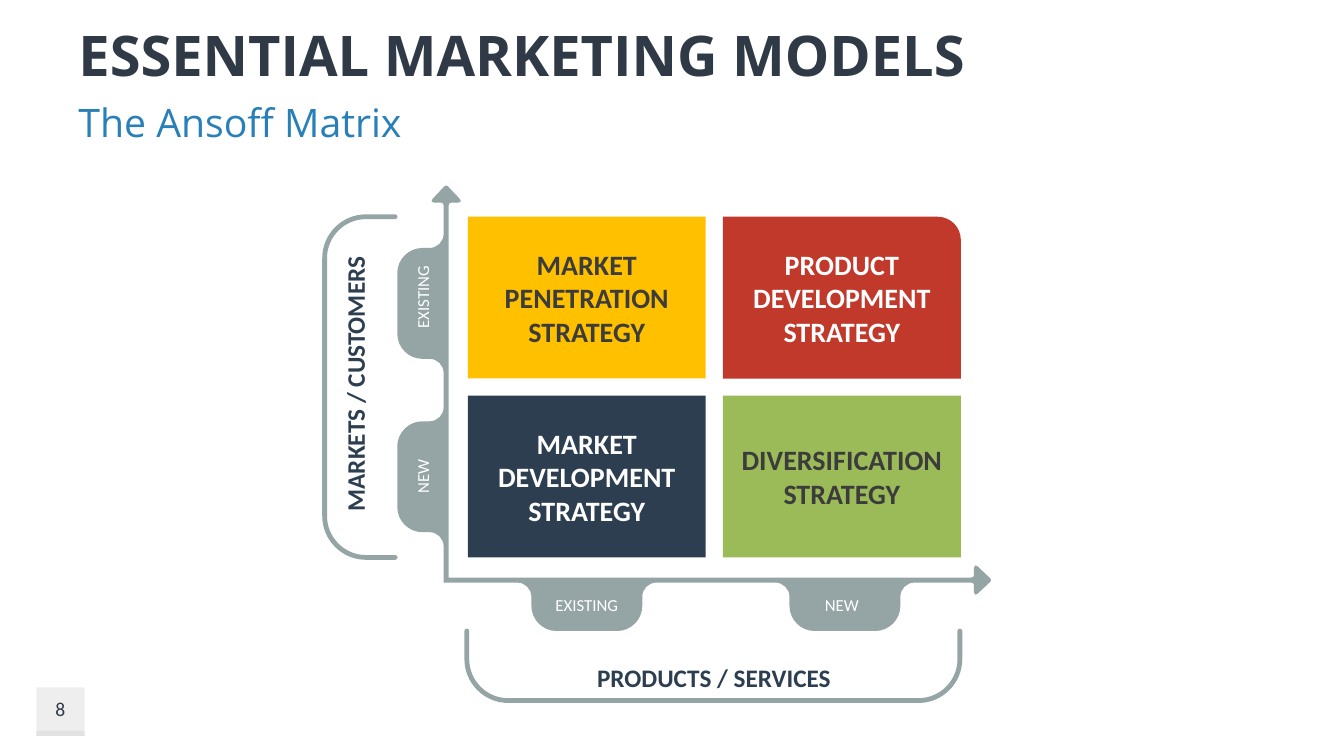
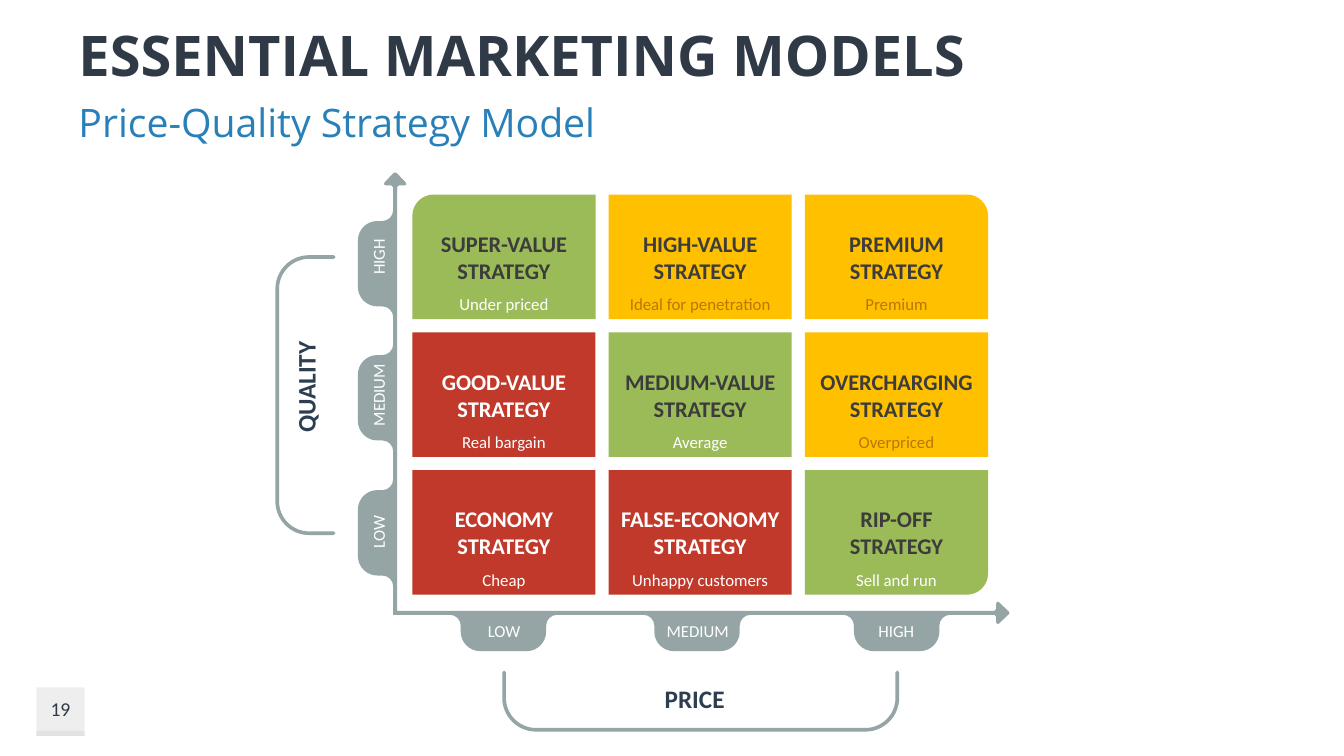
from math import dist

from lxml import etree
from pptx import Presentation
from pptx import util as u
from pptx.dml.color import RGBColor
from pptx.enum import shapes, text
from pptx.oxml import ns

WIDTH, HEIGHT = 13.33, 7.5
GRAY, NAVY, WHITE, DARK = "95A5A6", "2C3E50", "FFFFFF", "3C3C3C"
YELLOW, RED, GREEN = "FFC000", "C0392B", "9BBB59"
INK, BLUE, SILVER, BROWN = "2F3A46", "2980B9", "BFBFBF", "BA7609"
TEXT_ON = {YELLOW: DARK, GREEN: DARK, RED: WHITE, NAVY: WHITE}
CAPTION_ON = {YELLOW: BROWN}


def rgb(value):
    return RGBColor.from_string(value)


def inches(*values):
    return [u.Inches(v) for v in values]


def paint(sp, color, alpha=None):
    sp.shadow.inherit = False
    sp.line.fill.background()
    sp.fill.solid()
    sp.fill.fore_color.rgb = rgb(color)
    if alpha is not None:
        clr = sp.fill._xPr.find(".//" + ns.qn("a:srgbClr"))
        etree.SubElement(clr, ns.qn("a:alpha")).set("val", str(alpha * 1000))


def write(sp, content, size, color, font="Calibri", bold=False,
          align=text.PP_ALIGN.CENTER, anchor=text.MSO_ANCHOR.MIDDLE,
          inset=(0.1, 0.05), wrap=True):
    tf = sp.text_frame
    tf.text = content
    tf.word_wrap = wrap
    tf.vertical_anchor = anchor
    tf.margin_left = tf.margin_right = u.Inches(inset[0])
    tf.margin_top = tf.margin_bottom = u.Inches(inset[1])
    for p in tf.paragraphs:
        p.alignment = align
        for r in p.runs:
            r.font.name = font
            r.font.size = u.Pt(size)
            r.font.bold = bold
            r.font.color.rgb = rgb(color)


def label(slide, center, content, size, color, bold=False, turned=False):
    w = 0.3 + len(content) * size * 0.0075
    h = size / 45
    sp = slide.shapes.add_textbox(
        *inches(center[0] - w / 2, center[1] - h / 2, w, h))
    sp.rotation = 270 if turned else 0
    write(sp, content, size, color, bold=bold, inset=(0, 0), wrap=False)


def toward(start, end, length):
    share = length / dist(start, end)
    return tuple(a + (b - a) * share for a, b in zip(start, end))


def round_corner(before, corner, after, radius):
    a, d = toward(corner, before, radius), toward(corner, after, radius)
    return [a, toward(a, corner, radius * 0.55),
            toward(d, corner, radius * 0.55), d]


def outline(slide, corners, closed=True):
    points, bends = [], []
    for i, (x, y, radius) in enumerate(corners):
        if radius:
            before, after = corners[i - 1], corners[(i + 1) % len(corners)]
            bends.append(len(points) + 1)
            points += round_corner(before[:2], (x, y), after[:2], radius)
        else:
            points.append((x, y))
    emu = [inches(*point) for point in points]
    builder = slide.shapes.build_freeform(*emu[0])
    builder.add_line_segments(emu[1:], close=closed)
    sp = builder.convert_to_shape()
    sp.shadow.inherit = False
    steps = list(sp._element.find(".//" + ns.qn("a:path")))
    for start in bends:
        first, *rest = steps[start:start + 3]
        first.tag = ns.qn("a:cubicBezTo")
        for step in rest:
            first.append(step[0])
            step.getparent().remove(step)
    return sp


def add_frame(prs, subtitle, number):
    slide = prs.slides.add_slide(prs.slide_layouts[6])
    left, side, strip = 0.36, 0.48, 0.05
    top = HEIGHT - 0.68
    panels = [((left, top, side, side), SILVER, 25),
              ((left, top + side - strip, side, strip), SILVER, 25),
              ((11.51, 0.1, 1.74, 0.79), WHITE, 60)]
    for box, color, alpha in panels:
        sp = slide.shapes.add_shape(shapes.MSO_SHAPE.RECTANGLE, *inches(*box))
        paint(sp, color, alpha)
    title = slide.shapes.add_textbox(*inches(0.68, 0.15, 10.72, 0.77))
    write(title, "ESSENTIAL MARKETING MODELS", 40, INK, "Open Sans", True,
          text.PP_ALIGN.LEFT)
    sub = slide.shapes.add_textbox(*inches(0.68, 0.93, 10.72, 0.57))
    write(sub, subtitle, 28, BLUE, "Open Sans", False,
          text.PP_ALIGN.LEFT, text.MSO_ANCHOR.TOP)
    page = slide.shapes.add_textbox(*inches(left, top, side, side - strip))
    write(page, str(number), 14, INK, inset=(0, 0))
    return slide


def add_cell(slide, box, cell, size, radii):
    content, color, caption = cell
    x, y, w, h = box
    if any(radii):
        edges = [(x, y), (x + w, y), (x + w, y + h), (x, y + h)]
        sp = outline(slide, [(*e, r) for e, r in zip(edges, radii)])
    else:
        sp = slide.shapes.add_shape(shapes.MSO_SHAPE.RECTANGLE, *inches(*box))
    paint(sp, color)
    write(sp, content, size, TEXT_ON[color], bold=True, inset=(0.04, 0.04))
    if caption:
        label(slide, (x + w / 2, y + h - 0.15), caption, 12,
              CAPTION_ON.get(color, WHITE))


def add_grid(slide, box, rows, gap, size, rounded):
    x, y, w, h = box
    cell_w = (w - gap * (len(rows[0]) - 1)) / len(rows[0])
    cell_h = (h - gap * (len(rows) - 1)) / len(rows)
    for i, row in enumerate(rows):
        for j, cell in enumerate(row):
            place = (x + j * (cell_w + gap), y + i * (cell_h + gap),
                     cell_w, cell_h)
            add_cell(slide, place, cell, size, rounded.get((i, j), (0,) * 4))


def arm(length, tabs, depth, scale):
    thick, head, half = 0.05 * scale, 0.18 * scale, 0.17 * scale
    width = 1.1 * scale
    big, flare, tip = 0.25 * scale, 0.14 * scale, 0.05 * scale
    points = []
    for _, start, _ in tabs:
        end = start + width
        points += [(start, 0, flare), (start, depth, big),
                   (end, depth, big), (end, 0, flare)]
    base, mid = length - head, -thick / 2
    return points + [(base, 0, tip / 2), (base, mid + half, tip),
                     (length, mid, tip / 2), (base, mid - half, tip),
                     (base, -thick, tip / 2)]


def add_axes(slide, corner, up, right, scale, label_out):
    x, y = corner
    thick = 0.05 * scale
    across = [(x + a, y + out, r) for a, out, r in arm(*right, scale)]
    rise = [(x - out, y - a, r) for a, out, r in arm(*up, scale)]
    paint(outline(slide, [(x, y, 0), *across, (x + thick, y - thick, 0),
                          *reversed(rise)]), GRAY)
    for name, _, middle in right[1]:
        label(slide, (x + middle, y + label_out + 0.01), name, 12, WHITE)
    for name, _, middle in up[1]:
        label(slide, (x - label_out, y - middle), name, 12, WHITE, turned=True)


def add_bracket(slide, box, name, center, scale, upright):
    x, y, w, h = box
    r = 0.41 * scale
    if upright:
        ends = (x + w, y, 0), (x + w, y + h, 0)
        bends = (x, y, r), (x, y + h, r)
    else:
        ends = (x, y, 0), (x + w, y, 0)
        bends = (x, y + h, r), (x + w, y + h, r)
    sp = outline(slide, [ends[0], *bends, ends[1]], closed=False)
    sp.fill.background()
    sp.line.color.rgb = rgb(GRAY)
    sp.line.width = u.Pt(3.4 * scale)
    sp.line._get_or_add_ln().set("cap", "rnd")
    label(slide, center, name, 18, NAVY, bold=True, turned=upright)


def add_ansoff(prs):
    slide = add_frame(prs, "The Ansoff Matrix", 8)
    rows = [[("MARKET PENETRATION STRATEGY", YELLOW, ""),
             ("PRODUCT DEVELOPMENT STRATEGY", RED, "")],
            [("MARKET DEVELOPMENT STRATEGY", NAVY, ""),
             ("DIVERSIFICATION STRATEGY", GREEN, "")]]
    add_grid(slide, (4.64, 2.15, 4.89, 3.38), rows, 0.17, 20,
             {(0, 1): (0, 0.23, 0, 0)})
    add_bracket(slide, (3.22, 2.15, 0.7, 3.38), "MARKETS / CUSTOMERS",
                (3.52, 3.81), 1, True)
    add_bracket(slide, (4.63, 6.26, 4.89, 0.69), "PRODUCTS / SERVICES",
                (7.08, 6.72), 1, False)
    add_axes(slide, (4.4, 5.78),
             (3.95, [("NEW", 0.5, 1.05), ("EXISTING", 2.22, 2.83)], 0.46),
             (5.44, [("EXISTING", 0.87, 1.42), ("NEW", 3.43, 3.95)], 0.48),
             1, 0.21)


def add_price_quality(prs):
    slide = add_frame(prs, "Price-Quality Strategy Model", 19)
    rows = [[("SUPER-VALUE STRATEGY", GREEN, "Under priced"),
             ("HIGH-VALUE STRATEGY", YELLOW, "Ideal for penetration"),
             ("PREMIUM STRATEGY", YELLOW, "Premium")],
            [("GOOD-VALUE STRATEGY", RED, "Real bargain"),
             ("MEDIUM-VALUE STRATEGY", GREEN, "Average"),
             ("OVERCHARGING STRATEGY", YELLOW, "Overpriced")],
            [("ECONOMY STRATEGY", RED, "Cheap"),
             ("FALSE-ECONOMY STRATEGY", RED, "Unhappy customers"),
             ("RIP-OFF\nSTRATEGY", GREEN, "Sell and run")]]
    r = 0.21
    add_grid(slide, (4.09, 1.93, 5.71, 3.97), rows, 0.13, 16,
             {(0, 0): (r, 0, 0, 0), (0, 2): (0, r, 0, 0),
              (2, 2): (0, 0, r, 0)})
    scale = 0.77
    add_bracket(slide, (2.75, 2.55, 0.56, 2.74), "QUALITY",
                (3.03, 3.84), scale, True)
    add_bracket(slide, (5, 6.67, 3.9, 0.57), "PRICE",
                (6.89, 6.93), scale, False)
    add_axes(slide, (3.9, 6.1),
             (4.4, [("LOW", 0.39, 0.82), ("MEDIUM", 1.73, 2.18),
                    ("HIGH", 3.06, 3.55)], 0.35),
             (6.12, [("LOW", 0.67, 1.1), ("MEDIUM", 2.59, 3.02),
                     ("HIGH", 4.57, 4.99)], 0.36),
             scale, 0.15)


def main():
    prs = Presentation()
    prs.slide_width, prs.slide_height = inches(WIDTH, HEIGHT)
    add_ansoff(prs)
    add_price_quality(prs)
    prs.save("out.pptx")


if __name__ == "__main__":
    main()
